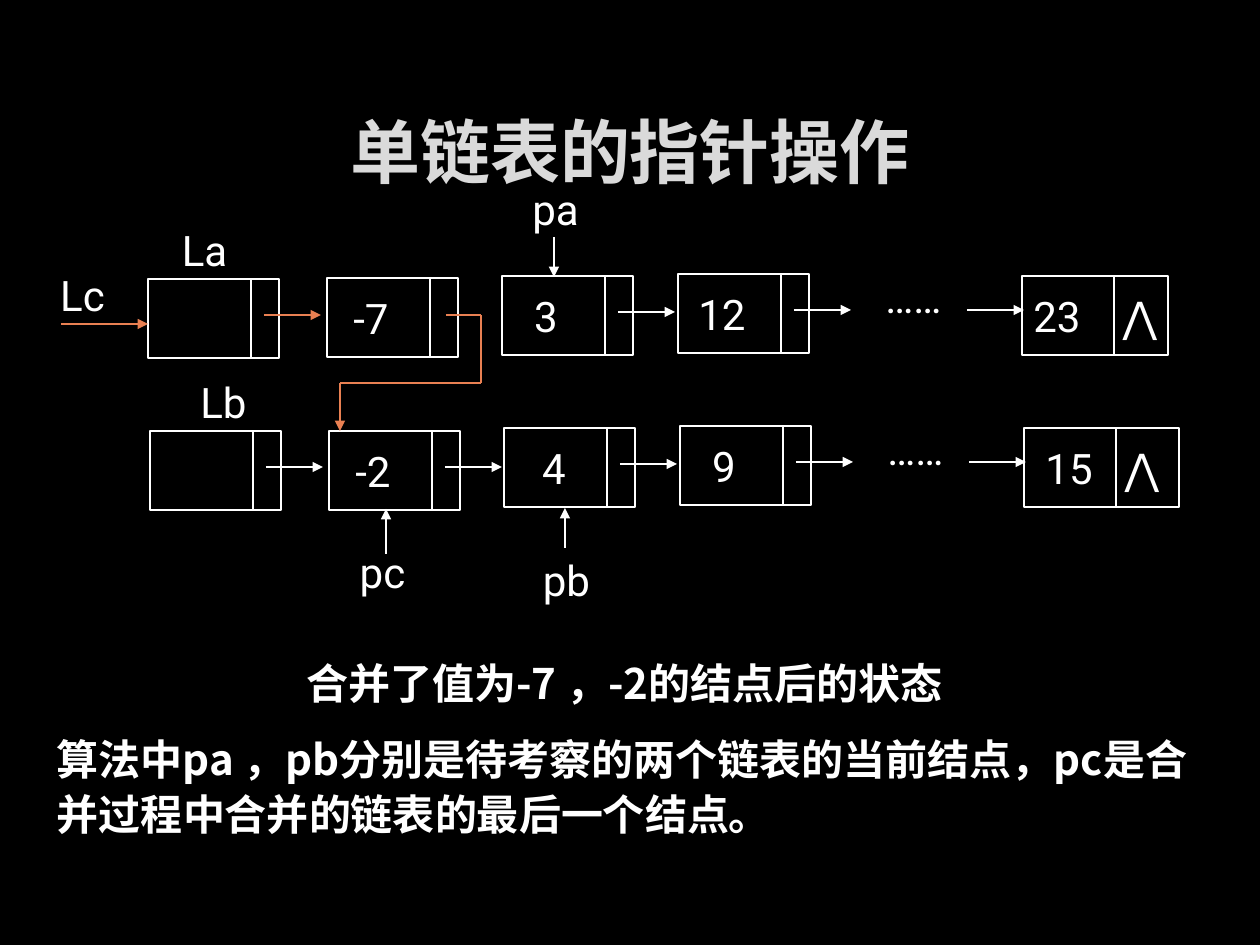
from dataclasses import dataclass
from itertools import pairwise
from typing import Optional

from lxml import etree
from pptx import Presentation
from pptx.dml.color import RGBColor
from pptx.enum.shapes import MSO_CONNECTOR, MSO_SHAPE
from pptx.enum.text import MSO_ANCHOR, MSO_AUTO_SIZE, PP_ALIGN
from pptx.oxml.ns import qn
from pptx.util import Emu, Pt

PX_PER_INCH = 126
STRAIGHT, RECTANGLE = MSO_CONNECTOR.STRAIGHT, MSO_SHAPE.RECTANGLE
MIDDLE, TOP = MSO_ANCHOR.MIDDLE, MSO_ANCHOR.TOP
CENTER, LEFT = PP_ALIGN.CENTER, PP_ALIGN.LEFT
NO_AUTOFIT = MSO_AUTO_SIZE.NONE

BLACK = RGBColor(0x00, 0x00, 0x00)
WHITE = RGBColor(0xFF, 0xFF, 0xFF)
SILVER = RGBColor(0xDA, 0xDA, 0xDA)
ORANGE = RGBColor(0xE9, 0x80, 0x52)
HAN_FONT = "Noto Sans CJK SC"
LABEL_FORMAT = {"name": "Roboto", "size": Pt(24), "bold": False}
NOTE_FORMAT = {"name": HAN_FONT, "size": Pt(24), "bold": True}
TITLE_FORMAT = {"name": HAN_FONT, "size": Pt(40), "bold": True}

NODE_HEIGHT = 79
LINK_START, LINK_DROP, LINK_LENGTH = 116, 36, 57


@dataclass(frozen=True)
class Node:
    left: int
    top: int
    value: str = ""
    link: Optional[RGBColor] = WHITE
    width: int = 131
    divider: int = 103
    value_center: int = 44
    end_mark: str = ""


@dataclass(frozen=True)
class Label:
    text: str
    left: int
    top: int
    width: int
    height: int


@dataclass(frozen=True)
class Arrow:
    start: tuple[int, int]
    end: tuple[int, int]
    color: RGBColor = WHITE


NODES = [
    # First list
    Node(148, 279, link=ORANGE),
    Node(327, 278, "-7", link=None),
    Node(502, 276, "3"),
    Node(678, 274, "12"),
    Node(1022, 276, "23", None, 146, 92, 35, "⋀"),
    # Second list
    Node(150, 431),
    Node(329, 431, "-2"),
    Node(504, 428, "4", value_center=50),
    Node(680, 426, "9"),
    Node(1024, 428, "15", None, 155, 92, 45, "⋀"),
]
LABELS = [
    Label("La", 157, 214, 95, 72),
    Label("Lb", 160, 366, 127, 72),
    Label("Lc", 42, 265, 81, 60),
    Label("pa", 515, 175, 81, 68),
    Label("pb", 526, 546, 81, 68),
    Label("pc", 342, 542, 81, 60),
    Label("……", 848, 257, 131, 79),
    Label("……", 850, 409, 131, 79),
]
ARROWS = [
    Arrow((61, 324), (148, 324), ORANGE),
    Arrow((554, 237), (554, 277)),
    Arrow((565, 548), (565, 508)),
    Arrow((386, 554), (386, 509)),
    Arrow((967, 310), (1024, 310)),
    Arrow((969, 462), (1026, 462)),
]
MERGE_ROUTE = [(446, 315), (481, 315), (481, 383), (340, 383), (340, 431)]


def px(length: int) -> Emu:
    return Emu(round(length * 914400 / PX_PER_INCH))


def write_text(shape, text: str, font_format: dict, color: RGBColor,
               align=CENTER, anchor=MIDDLE, wrap: bool = False,
               margins: tuple[int, int, int, int] = (0, 0, 0, 0)):
    frame = shape.text_frame
    left, top, right, bottom = map(px, margins)
    frame_format = {
        "auto_size": NO_AUTOFIT, "word_wrap": wrap, "vertical_anchor": anchor,
        "margin_left": left, "margin_top": top,
        "margin_right": right, "margin_bottom": bottom,
    }
    for name, value in frame_format.items():
        setattr(frame, name, value)
    paragraph = frame.paragraphs[0]
    paragraph.alignment = align
    run = paragraph.add_run()
    run.text = text
    for name, value in font_format.items():
        setattr(run.font, name, value)
    run.font.color.rgb = color
    # East Asian characters need their own typeface entry
    east_asian = etree.SubElement(run.font._element, qn("a:ea"))
    east_asian.set("typeface", HAN_FONT)
    return paragraph


def add_text(slide, label: Label, font_format: dict = LABEL_FORMAT, **options):
    box = slide.shapes.add_textbox(
        px(label.left), px(label.top), px(label.width), px(label.height))
    return write_text(box, label.text, font_format, WHITE, **options)


def add_line(slide, start: tuple[int, int], end: tuple[int, int],
             color: RGBColor = WHITE, arrowhead: bool = False) -> None:
    connector = slide.shapes.add_connector(
        STRAIGHT, *map(px, start), *map(px, end))
    connector.line.color.rgb = color
    connector.line.width = Pt(1)
    if arrowhead:
        tail = etree.SubElement(connector.line._get_or_add_ln(), qn("a:tailEnd"))
        tail.set("type", "triangle")
    etree.SubElement(connector._element.spPr, qn("a:effectLst"))


def add_node(slide, node: Node) -> None:
    shape = slide.shapes.add_shape(
        RECTANGLE, px(node.left), px(node.top), px(node.width), px(NODE_HEIGHT))
    shape.shadow.inherit = False
    shape.fill.background()
    shape.line.color.rgb = WHITE
    shape.line.width = Pt(1)
    if node.value:
        right_margin = node.width - 2 * node.value_center
        write_text(shape, node.value, LABEL_FORMAT, WHITE,
                   margins=(0, 0, right_margin, 0))
    divider = node.left + node.divider
    add_line(slide, (divider, node.top), (divider, node.top + NODE_HEIGHT))
    if node.end_mark:
        add_text(slide, Label(node.end_mark, divider, node.top, 52, NODE_HEIGHT))
    if node.link is not None:
        x, y = node.left + LINK_START, node.top + LINK_DROP
        add_line(slide, (x, y), (x + LINK_LENGTH, y), node.link, True)


def main() -> None:
    presentation = Presentation()
    presentation.slide_width, presentation.slide_height = px(1260), px(945)
    slide = presentation.slides.add_slide(presentation.slide_layouts[5])
    slide.background.fill.solid()
    slide.background.fill.fore_color.rgb = BLACK

    # Title
    title = slide.shapes.title
    title.left, title.top, title.width, title.height = map(px, (95, 84, 1070, 134))
    write_text(title, "单链表的指针操作", TITLE_FORMAT, SILVER, wrap=True)

    # Linked lists with their pointers
    for node in NODES:
        add_node(slide, node)
    for label in LABELS:
        add_text(slide, label)
    for arrow in ARROWS:
        add_line(slide, arrow.start, arrow.end, arrow.color, True)

    # Link from the first list down to the second
    for start, end in pairwise(MERGE_ROUTE):
        add_line(slide, start, end, ORANGE, end == MERGE_ROUTE[-1])

    # Caption and explanation
    add_text(slide, Label("合并了值为-7 ，-2的结点后的状态", 198, 649, 853, 68),
             NOTE_FORMAT, wrap=True, margins=(13, 6, 13, 6))
    explanation = add_text(
        slide,
        Label("算法中pa ，pb分别是待考察的两个链表的当前结点，"
              "pc是合并过程中合并的链表的最后一个结点。", 44, 722, 1179, 171),
        NOTE_FORMAT, align=LEFT, anchor=TOP, wrap=True, margins=(13, 6, 13, 6))
    explanation.line_spacing = 1.1

    presentation.save("out.pptx")


if __name__ == "__main__":
    main()
